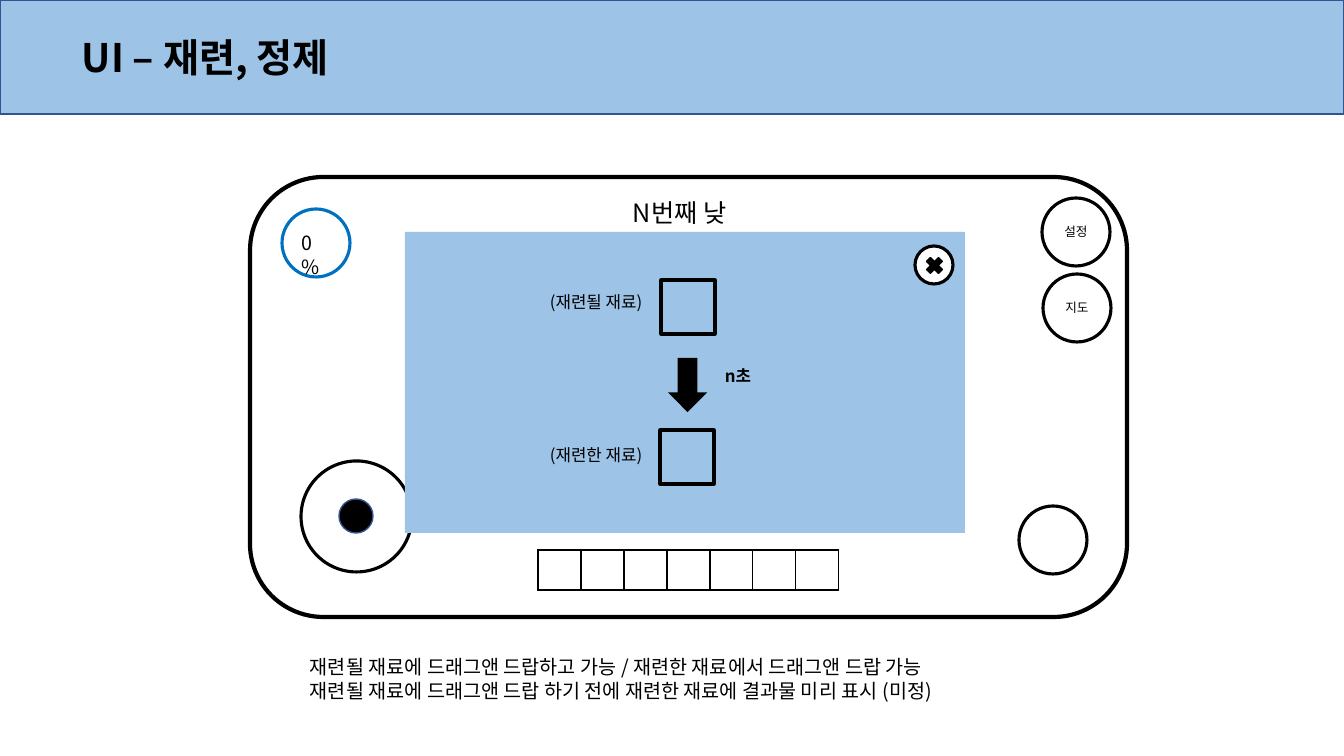
import pptx
import pptx.util
import pptx.dml.color
import pptx.enum.shapes
import pptx.enum.text
import pptx.oxml
import pptx.oxml.ns

RGB = pptx.dml.color.RGBColor
KIND = pptx.enum.shapes.MSO_SHAPE
ALIGN = pptx.enum.text.PP_ALIGN
ANCHOR = pptx.enum.text.MSO_ANCHOR

BLACK = RGB(0, 0, 0)
WHITE = RGB(255, 255, 255)
SKY = RGB(0x9D, 0xC3, 0xE6)
NAVY = RGB(0x32, 0x54, 0x91)
BLUE = RGB(0x00, 0x70, 0xC0)
FONT = "Noto Sans CJK KR"

# Shapes: kind, box in px, fill, line colour, line width in pt
FRAME = [
    (KIND.RECTANGLE, (0, 0, 1344, 114), SKY, NAVY, 1),
    (KIND.ROUNDED_RECTANGLE, (250, 177, 877, 440), WHITE, BLACK, 3),
    (KIND.OVAL, (301, 461, 111, 111), None, BLACK, 2.25),
    (KIND.OVAL, (339, 499, 34, 34), BLACK, NAVY, 1),
    (KIND.OVAL, (1019, 506, 68, 68), None, BLACK, 2.25),
    (KIND.OVAL, (282, 209, 68, 68), None, BLUE, 2.25),
]
PANEL = [
    (KIND.RECTANGLE, (405, 232, 560, 301), SKY, None, 0),
    (KIND.RECTANGLE, (661, 280, 54, 54), None, BLACK, 2.25),
    (KIND.DOWN_ARROW, (668, 358, 39, 54), BLACK, None, 0),
    (KIND.RECTANGLE, (660, 430, 54, 54), None, BLACK, 2.25),
    (KIND.OVAL, (915, 246, 38, 38), WHITE, BLACK, 2.25),
    (KIND.MATH_MULTIPLY, (923, 254, 23, 23), BLACK, BLACK, 1),
]
BUTTONS = [("설정", (1042, 198, 68, 68)), ("지도", (1043, 274, 68, 68))]

# Texts: lines, box in px, size in pt, bold
TEXTS = [
    (["UI – 재련, 정제"], (72, 28, 467, 57), 28, True),
    (["N번째 낮"], (623, 192, 131, 40), 18, False),
    (["0%"], (292, 226, 38, 34), 14, False),
    (["(재련될 재료)"], (540, 287, 121, 30), 12, False),
    (["(재련한 재료)"], (540, 440, 121, 30), 12, False),
    (["n초"], (715, 361, 68, 30), 12, True),
    (["재련될 재료에 드래그앤 드랍하고 가능 / 재련한 재료에서 드래그앤 드랍 가능",
      "재련될 재료에 드래그앤 드랍 하기 전에 재련한 재료에 결과물 미리 표시 (미정)"],
     (300, 650, 716, 57), 14, False),
]
SLOTS, SLOT_W, SLOT_H = 7, 43, 40
SLOT_X, SLOT_Y = 538, 550


def px(n):
    return round(n * 12192000 / 1344)


def draw(kind, box, fill, line, width):
    shape = slide.shapes.add_shape(kind, *map(px, box))
    shape.shadow.inherit = False
    if fill is None:
        shape.fill.background()
    else:
        shape.fill.solid()
        shape.fill.fore_color.rgb = fill
    if line is None:
        shape.line.fill.background()
    else:
        shape.line.color.rgb = line
        shape.line.width = pptx.util.Pt(width)
    return shape


def style(para, size, bold=False):
    font = para.font
    font.name, font.size, font.bold = FONT, pptx.util.Pt(size), bold
    font.color.rgb = BLACK
    # East Asian typeface
    props = para._p.pPr.find(pptx.oxml.ns.qn("a:defRPr"))
    props.append(pptx.oxml.parse_xml(
        f'<a:ea {pptx.oxml.ns.nsdecls("a")} typeface="{FONT}"/>'))


def write(lines, box, size, bold):
    frame = slide.shapes.add_textbox(*map(px, box)).text_frame
    frame.word_wrap = True
    frame.margin_right = 0
    frame.text = "\n".join(lines)
    for para in frame.paragraphs:
        style(para, size, bold)


def edge(cell):
    props = cell._tc.get_or_add_tcPr()
    for i, side in enumerate(("lnL", "lnR", "lnT", "lnB")):
        props.insert(i, pptx.oxml.parse_xml(
            f'<a:{side} {pptx.oxml.ns.nsdecls("a")} w="12700"><a:solidFill>'
            f'<a:srgbClr val="{BLACK}"/></a:solidFill></a:{side}>'))


deck = pptx.Presentation()
deck.slide_width, deck.slide_height = px(1344), px(756)
slide = deck.slides.add_slide(deck.slide_layouts[6])

# Header, device and controls
for part in FRAME:
    draw(*part)

# Inventory slots
grid = slide.shapes.add_table(
    1, SLOTS, px(SLOT_X), px(SLOT_Y), px(SLOTS * SLOT_W), px(SLOT_H)).table
grid.first_row = grid.horz_banding = False
for col in grid.columns:
    col.width = px(SLOT_W)
for cell in grid.iter_cells():
    cell.margin_left = cell.margin_right = 0
    cell.margin_top = cell.margin_bottom = 0
    cell.fill.solid()
    cell.fill.fore_color.rgb = WHITE
    edge(cell)

# Round buttons
for label, box in BUTTONS:
    frame = draw(KIND.OVAL, box, WHITE, BLACK, 2.25).text_frame
    frame.text = label
    frame.vertical_anchor = ANCHOR.MIDDLE
    frame.paragraphs[0].alignment = ALIGN.CENTER
    style(frame.paragraphs[0], 9)

# Refining panel
for part in PANEL:
    draw(*part)

# Title, labels and notes
for text in TEXTS:
    write(*text)

deck.save("out.pptx")
